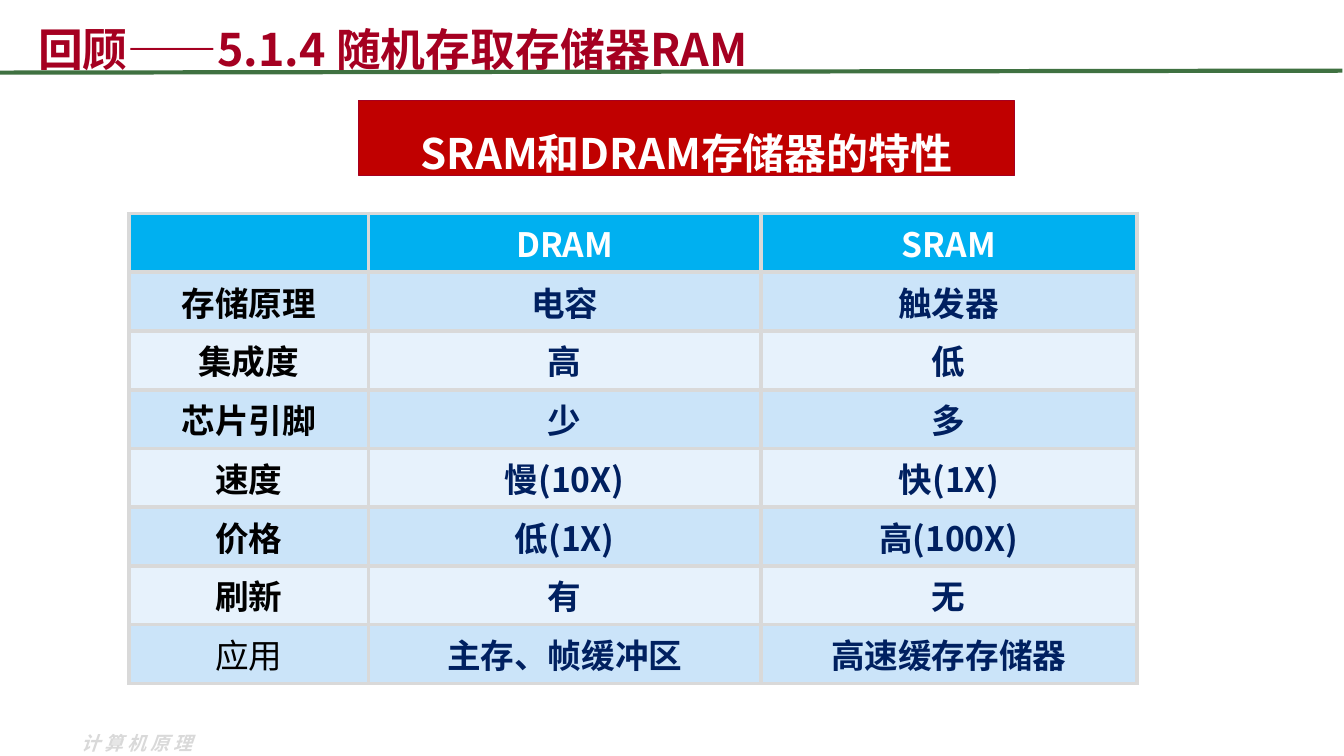
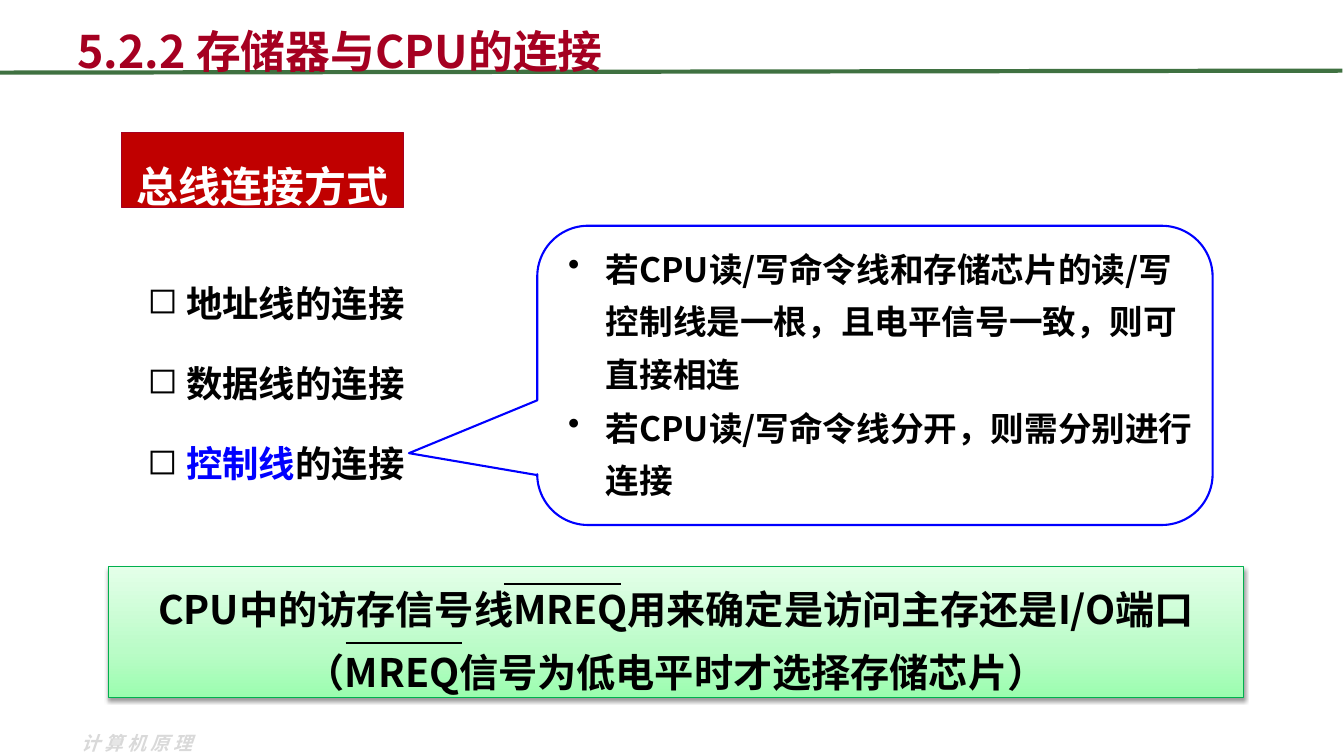
from pptx import Presentation
from pptx.dml.color import RGBColor
from pptx.enum.shapes import MSO_CONNECTOR, MSO_SHAPE
from pptx.enum.text import MSO_ANCHOR, PP_ALIGN
from pptx.oxml import parse_xml
from pptx.oxml.ns import nsdecls, qn
from pptx.util import Cm, Pt

HUES = {
    "title": "A50021", "rule": "3F7141", "foot": "D9D9D9", "banner": "C00000",
    "white": "FFFFFF", "black": "000000", "blue": "0000FF", "navy": "002060",
    "head": "00B0F0", "odd": "CBE4F9", "even": "E7F2FC", "edge": "00B04E",
    "top": "E4FFE9", "mid": "BAFCC7", "low": "9BFDAF",
}
COLORS = {name: RGBColor.from_string(code) for name, code in HUES.items()}
SANS = "Noto Sans CJK SC"
ALT = "Noto Sans CJK JP"


def write(par, text, size, hue, face=SANS, bold=True):
    """Add one run, with its face set for Latin and East Asian text."""
    run = par.add_run()
    run.text = text
    font = run.font
    font.size, font.bold, font.name = Pt(size), bold, face
    font.color.rgb = COLORS[hue]
    props = run._r.get_or_add_rPr()
    props.find(qn("a:latin")).addnext(
        parse_xml(f'<a:ea {nsdecls("a")} typeface="{face}"/>'))
    return run


def rule(slide, start, end, hue, width):
    line = slide.shapes.add_connector(
        MSO_CONNECTOR.STRAIGHT, *map(Cm, start), *map(Cm, end))
    line.line.color.rgb = COLORS[hue]
    line.line.width = Pt(width)
    line._element.spPr.append(parse_xml(f'<a:effectLst {nsdecls("a")}/>'))


deck = Presentation()
deck.slide_width, deck.slide_height = Cm(33.87), Cm(19.05)

# Shared parts: footer, rule, title and red banner
PAGES = [
    ("回顾——5.1.4 随机存取存储器RAM", (0.71, -0.08, 30.48, 2.11),
     "SRAM和DRAM存储器的特性", (9.04, 2.54, 16.54, 1.88)),
    ("5.2.2 存储器与CPU的连接", (1.7, -0.36, 30.48, 2.44),
     "总线连接方式", (3.07, 3.35, 7.09, 1.88)),
]
slides = []
for title, place, label, area in PAGES:
    slide = deck.slides.add_slide(deck.slide_layouts[6])
    slides.append(slide)

    foot = slide.shapes.add_textbox(Cm(1.8), Cm(18.31), Cm(3.71), Cm(0.86))
    run = write(foot.text_frame.paragraphs[0], "计算机原理", 13.5, "foot")
    run.font.italic = True
    run._r.get_or_add_rPr().set("spc", "300")
    rule(slide, (0, 1.83), (33.83, 1.78), "rule", 3)

    frame = slide.shapes.add_textbox(*map(Cm, place)).text_frame
    frame.word_wrap = True
    frame.vertical_anchor = MSO_ANCHOR.BOTTOM
    par = frame.paragraphs[0]
    par.line_spacing = 1.6
    write(par, title, 32, "title")

    banner = slide.shapes.add_shape(MSO_SHAPE.RECTANGLE, *map(Cm, area))
    banner.shadow.inherit = False
    banner.fill.solid()
    banner.fill.fore_color.rgb = COLORS["banner"]
    banner.line.color.rgb = COLORS["title"]
    banner.line.width = Pt(0.75)
    banner.text_frame.vertical_anchor = MSO_ANCHOR.MIDDLE
    par = banner.text_frame.paragraphs[0]
    par.alignment = PP_ALIGN.CENTER
    par.line_spacing = 1.6
    write(par, label, 30, "white")

first, second = slides

# Slide 1: comparison table
ROWS = [
    ("", "DRAM", "SRAM"),
    ("存储原理", "电容", "触发器"),
    ("集成度", "高", "低"),
    ("芯片引脚", "少", "多"),
    ("速度", "慢(10X)", "快(1X)"),
    ("价格", "低(1X)", "高(100X)"),
    ("刷新", "有", "无"),
    ("应用", "主存、帧缓冲区", "高速缓存存储器"),
]
WIDTHS = (6.04, 9.88, 9.48)
HIGH = 1.48
table = first.shapes.add_table(
    len(ROWS), len(WIDTHS), Cm(3.25), Cm(5.38),
    Cm(sum(WIDTHS)), Cm(HIGH * len(ROWS))).table
table.horz_banding = False
for col, width in zip(table.columns, WIDTHS):
    col.width = Cm(width)
for r, row in enumerate(ROWS):
    table.rows[r].height = Cm(HIGH)
    back = "head" if r == 0 else "odd" if r % 2 else "even"
    for c, text in enumerate(row):
        cell = table.cell(r, c)
        cell.vertical_anchor = MSO_ANCHOR.MIDDLE
        cell.fill.solid()
        cell.fill.fore_color.rgb = COLORS[back]
        props = cell._tc.get_or_add_tcPr()
        for n, side in enumerate("LRTB"):
            props.insert(n, parse_xml(
                f'<a:ln{side} {nsdecls("a")} w="{Pt(3)}"><a:solidFill>'
                f'<a:srgbClr val="{HUES["foot"]}"/></a:solidFill></a:ln{side}>'))
        if text:
            par = cell.text_frame.paragraphs[0]
            par.alignment = PP_ALIGN.CENTER
            ink = "white" if r == 0 else "navy" if c else "black"
            write(par, text, 24, ink, bold=text != "应用")

# Slide 2: bus lines, callout and note panel
lines = second.shapes.add_textbox(Cm(3), Cm(6.07), Cm(7.92), Cm(6.12))

bubble = second.shapes.add_shape(
    MSO_SHAPE.ROUNDED_RECTANGULAR_CALLOUT, Cm(13.54), Cm(5.69), Cm(17.02), Cm(7.54))
for n, value in enumerate((-0.69, 0.26, 0.17)):
    bubble.adjustments[n] = value
bubble.shadow.inherit = False
bubble.fill.background()
bubble.line.color.rgb = COLORS["blue"]
bubble.line.width = Pt(1.5)
notes = second.shapes.add_textbox(Cm(14.07), Cm(5.84), Cm(16.26), Cm(6.88))

panel = second.shapes.add_shape(
    MSO_SHAPE.RECTANGLE, Cm(2.74), Cm(14.27), Cm(28.6), Cm(3.3))
panel.shadow.inherit = False
panel.line.color.rgb = COLORS["edge"]
panel.line.width = Pt(0.75)
stops = "".join(
    f'<a:gs pos="{pos}000"><a:srgbClr val="{HUES[hue]}"/></a:gs>'
    for pos, hue in ((0, "top"), (65, "mid"), (100, "low")))
props = panel._element.spPr
props.find(qn("a:prstGeom")).addnext(parse_xml(
    f'<a:gradFill {nsdecls("a")}><a:gsLst>{stops}</a:gsLst>'
    '<a:lin ang="5400000" scaled="0"/></a:gradFill>'))
props.find(qn("a:effectLst")).append(parse_xml(
    f'<a:outerShdw {nsdecls("a")} blurRad="{Pt(3.1)}" dist="{Pt(1.6)}" dir="5400000">'
    f'<a:srgbClr val="{HUES["black"]}"><a:alpha val="38000"/></a:srgbClr></a:outerShdw>'))
panel.text_frame.vertical_anchor = MSO_ANCHOR.TOP

# Each block: shape, size, face, alignment, line spacing, bullet, indent, runs
BLOCKS = [
    (lines, 26, SANS, PP_ALIGN.CENTER, 1.8, "◻", 0, [
        [(" 地址线的连接", "black")],
        [(" 数据线的连接", "black")],
        [(" ", "black"), ("控制线", "blue"), ("的连接", "black")],
    ]),
    (notes, 24, SANS, PP_ALIGN.LEFT, 1.3, "•", 0.95, [
        [("若CPU读/写命令线和存储芯片的读/写控制线是一根，且电平信号一致，则可直接相连", "black")],
        [("若CPU读/写命令线分开，则需分别进行连接", "black")],
    ]),
    (panel, 28, ALT, PP_ALIGN.CENTER, 1.3, None, 0, [
        [("CPU中的访存信号线MREQ用来确定是访问主存还是I/O端口", "black")],
        [("（MREQ信号为低电平时才选择存储芯片）", "black")],
    ]),
]
for shape, size, face, align, gap, mark, dent, pars in BLOCKS:
    frame = shape.text_frame
    frame.word_wrap = True
    for n, runs in enumerate(pars):
        par = frame.add_paragraph() if n else frame.paragraphs[0]
        if mark:
            props = par._p.get_or_add_pPr()
            props.set("marL", str(Cm(dent)))
            props.set("indent", str(-Cm(dent)))
            props.append(parse_xml(f'<a:buChar {nsdecls("a")} char="{mark}"/>'))
        par.alignment = align
        par.line_spacing = gap
        if n:
            par.space_before = Pt(size * 0.05)
        for text, hue in runs:
            write(par, text, size, hue, face)

# Bars over the active-low signal names
for x, y in ((12.7, 14.71), (8.71, 16.21)):
    rule(second, (x, y), (x + 2.94, y), "black", 1.5)

deck.save("out.pptx")
